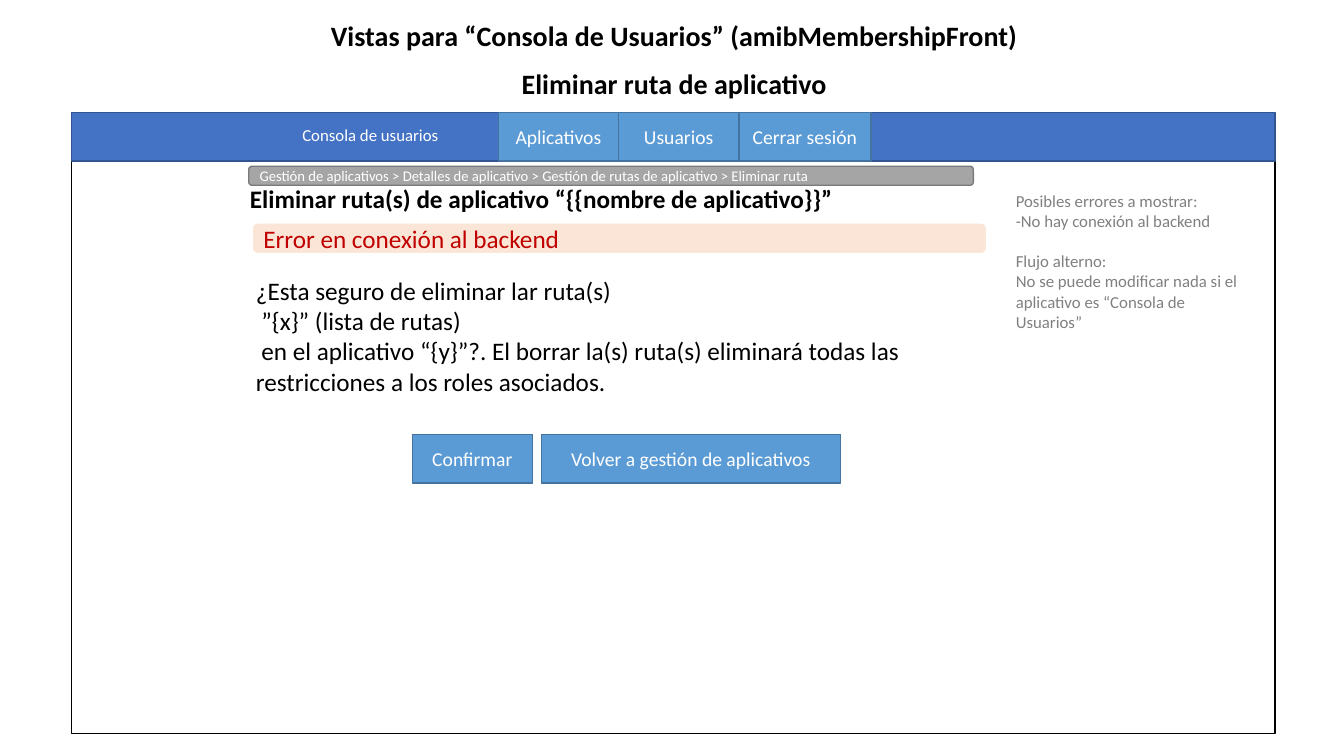
import pptx
import pptx.util
import pptx.dml.color
import pptx.enum.shapes
import pptx.enum.text
from dataclasses import dataclass

Cm, Pt = pptx.util.Cm, pptx.util.Pt
Align = pptx.enum.text.PP_ALIGN
Anchor = pptx.enum.text.MSO_ANCHOR
Shape = pptx.enum.shapes.MSO_SHAPE


@dataclass(frozen=True)
class Theme:
    font: str = "Calibri"
    white: str = "FFFFFF"
    black: str = "000000"
    bar: str = "4472C4"
    edge: str = "325491"
    blue: str = "5B9BD5"
    rim: str = "43739E"
    peach: str = "FBE5D6"
    red: str = "C00000"
    gray: str = "A5A5A5"
    dark: str = "7A7A7A"
    muted: str = "808080"
    title: float = 20
    body: float = 18
    tab: float = 14
    note: float = 12
    crumb: float = 10.5


class Page:
    def __init__(self, slide, theme):
        self.slide = slide
        self.theme = theme

    def color(self, code):
        return pptx.dml.color.RGBColor.from_string(code)

    def fill(self, frame, text, size, color, bold=False, align=Align.LEFT):
        frame.word_wrap = True
        frame.text = text
        for para in frame.paragraphs:
            para.alignment = align
            for run in para.runs:
                run.font.name = self.theme.font
                run.font.size = Pt(size)
                run.font.bold = bold
                run.font.color.rgb = self.color(color)

    def text(self, box, text, size, color, bold=False, align=Align.LEFT, anchor=Anchor.TOP):
        frame = self.slide.shapes.add_textbox(*map(Cm, box)).text_frame
        self.fill(frame, text, size, color, bold, align)
        frame.vertical_anchor = anchor
        return frame.paragraphs

    def panel(self, box, fill, line, kind=Shape.RECTANGLE, width=1):
        shape = self.slide.shapes.add_shape(kind, *map(Cm, box))
        shape.shadow.inherit = False
        shape.fill.solid()
        shape.fill.fore_color.rgb = self.color(fill)
        shape.line.color.rgb = self.color(line)
        shape.line.width = Pt(width)
        return shape

    def label(self, shape, text, size, color, align=Align.LEFT):
        self.fill(shape.text_frame, text, size, color, align=align)
        shape.text_frame.vertical_anchor = Anchor.MIDDLE

    def button(self, left, top, width, text):
        shape = self.panel((left, top, width, 1.22), self.theme.blue, self.theme.rim)
        self.label(shape, text, self.theme.tab, self.theme.white, Align.CENTER)


def main():
    deck = pptx.Presentation()
    deck.slide_width, deck.slide_height = Cm(33.87), Cm(19.05)
    theme = Theme()
    page = Page(deck.slides.add_slide(deck.slide_layouts[6]), theme)

    titles = [
        (0.43, "Vistas para “Consola de Usuarios” (amibMembershipFront)", Anchor.TOP),
        (1.63, "Eliminar ruta de aplicativo", Anchor.BOTTOM),
    ]
    for top, text, anchor in titles:
        paras = page.text((4.29, top, 25.4, 1.02), text, theme.title, theme.black,
                          True, Align.CENTER, anchor)
        paras[0].line_spacing = 0.9

    page.panel((1.8, 2.87, 30.33, 15.62), theme.white, theme.black)
    page.panel((1.8, 2.84, 30.33, 1.22), theme.bar, theme.edge)
    page.text((7.37, 3.02, 4.88, 0.76), "Consola de usuarios", theme.note, theme.white)

    left = 12.56
    for text, width in [("Aplicativos", 3.03), ("Usuarios", 3.03), ("Cerrar sesión", 3.33)]:
        page.button(left, 2.84, width, text)
        left += width

    page.text((6.05, 4.5, 22.02, 1.02),
              "Eliminar ruta(s) de aplicativo “{{nombre de aplicativo}}”",
              theme.body, theme.black, True)

    paras = page.text(
        (6.2, 6.81, 18.49, 3.33),
        "¿Esta seguro de eliminar lar ruta(s)\n”{x}” (lista de rutas)\n"
        "en el aplicativo “{y}”?. El borrar la(s) ruta(s) eliminará todas las "
        "restricciones a los roles asociados.",
        theme.body, theme.black)
    for para in paras[1:]:
        para._p.get_or_add_pPr().set("indent", str(Cm(0.14)))

    page.button(10.39, 10.95, 3.03, "Confirmar")
    page.button(13.64, 10.95, 7.54, "Volver a gestión de aplicativos")

    alert = page.panel((6.35, 5.61, 18.52, 0.79), theme.peach, theme.white,
                       Shape.ROUNDED_RECTANGLE, 1.5)
    page.label(alert, "Error en conexión al backend", theme.body, theme.red)

    trail = page.panel((6.27, 4.19, 18.26, 0.48), theme.gray, theme.dark,
                       Shape.ROUNDED_RECTANGLE)
    page.label(trail, "Gestión de aplicativos > Detalles de aplicativo > "
               "Gestión de rutas de aplicativo > Eliminar ruta", theme.crumb, theme.white)

    paras = page.text(
        (25.35, 4.67, 6.22, 4.37),
        "Posibles errores a mostrar:\n-No hay conexión al backend\nFlujo alterno:\n"
        "No se puede modificar nada si el aplicativo es “Consola de Usuarios”",
        theme.note, theme.muted)
    paras[2].space_before = Pt(14.6)

    deck.save("out.pptx")


if __name__ == "__main__":
    main()
